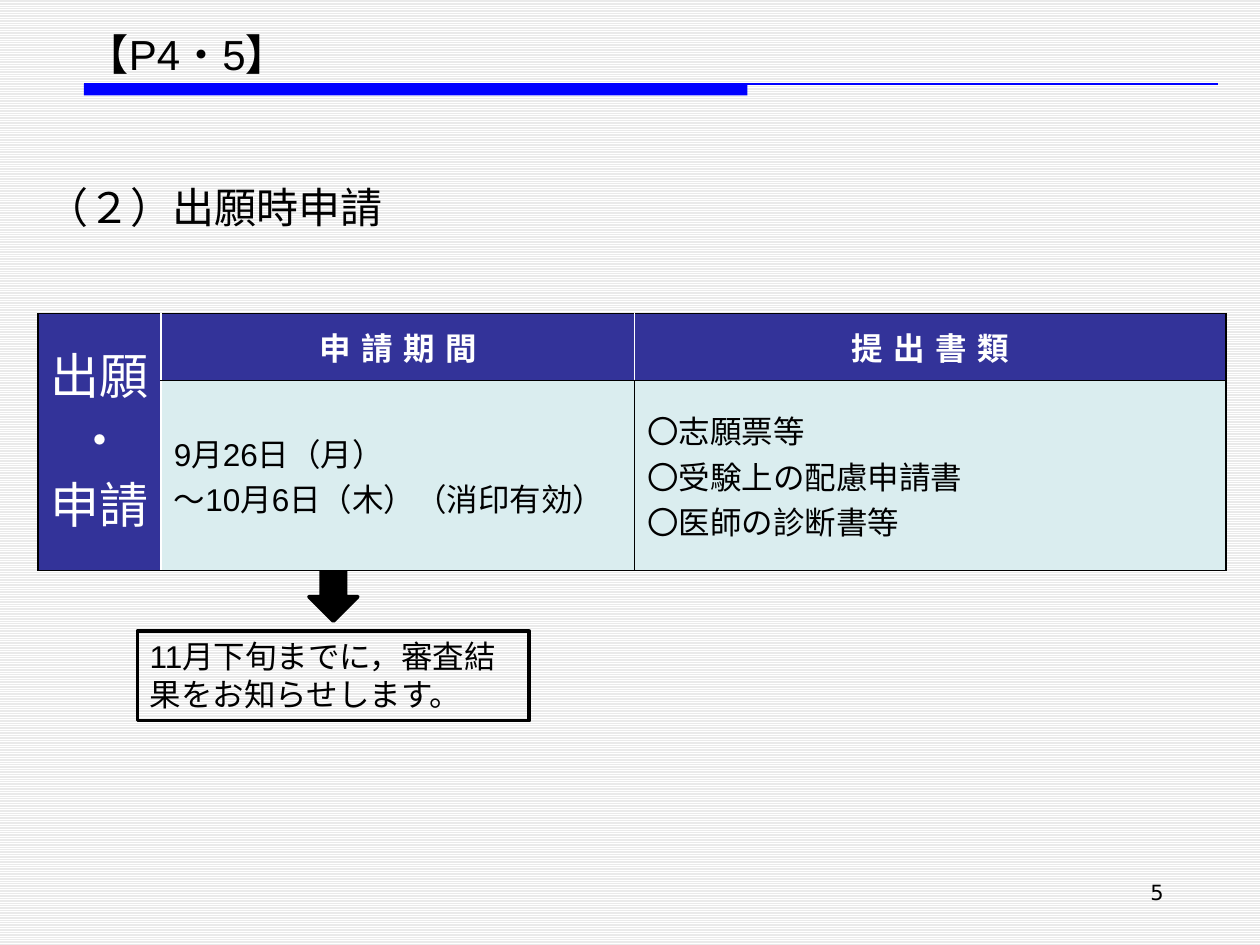
from dataclasses import dataclass

from lxml import etree
from pptx import Presentation
from pptx.dml.color import RGBColor
from pptx.enum import dml, shapes, text
from pptx.oxml.ns import qn
from pptx.util import Pt


@dataclass(frozen=True)
class Theme:
    font: str = "Arial"
    number_font: str = "DejaVu Sans"
    ink: str = "000000"
    white: str = "FFFFFF"
    stripe: str = "EAEAEA"
    rule: str = "0000FF"
    header: str = "333399"
    cell: str = "DAEDEF"
    heading_size: int = 24
    side_size: int = 28
    body_size: int = 18
    number_size: int = 12


THEME = Theme()


def rgb(value):
    return RGBColor.from_string(value)


def style_text(frame, size, color=THEME.ink, bold=False, font=THEME.font,
               align=text.PP_ALIGN.LEFT, east_asian=True):
    for para in frame.paragraphs:
        para.alignment = align
        for span in para.runs:
            span.font.name, span.font.size = font, Pt(size)
            span.font.bold, span.font.color.rgb = bold, rgb(color)
            if east_asian:
                etree.SubElement(span.font._element, qn("a:ea"), typeface=font)


def place(shape, box):
    shape.left, shape.top, shape.width, shape.height = (Pt(v) for v in box)


def paint_background(page):
    fill = page.background.fill
    fill.patterned()
    fill.pattern = dml.MSO_PATTERN.LIGHT_HORIZONTAL
    fill.fore_color.rgb, fill.back_color.rgb = rgb(THEME.white), rgb(THEME.stripe)


def add_rule(page, box):
    """Thick bar followed by a thin line along its top edge."""
    left, top, width, height = box
    bar = page.shapes.add_shape(shapes.MSO_SHAPE.RECTANGLE, Pt(left), Pt(top),
                                Pt(width * 0.585), Pt(height))
    bar.shadow.inherit = False
    bar.fill.solid()
    bar.fill.fore_color.rgb = rgb(THEME.rule)
    bar.line.fill.background()
    line = page.shapes.add_connector(shapes.MSO_CONNECTOR.STRAIGHT, Pt(left), Pt(top),
                                     Pt(left + width), Pt(top))
    line.line.color.rgb, line.line.width = rgb(THEME.rule), Pt(0.75)
    etree.SubElement(line._element.spPr, qn("a:effectLst"))


def add_title(page, box):
    title = page.shapes.title
    place(title, box)
    frame = title.text_frame
    frame.auto_size, frame.word_wrap = text.MSO_AUTO_SIZE.NONE, True
    frame.vertical_anchor = text.MSO_ANCHOR.MIDDLE
    para = frame.paragraphs[0]
    for part in ("【", "P4・5", "】"):
        para.add_run().text = part
    style_text(frame, THEME.heading_size)
    for bracket in para.runs[::2]:
        bracket.font.bold = True


def add_heading(page, box):
    body = page.placeholders[1]
    place(body, box)
    frame = body.text_frame
    frame.auto_size = text.MSO_AUTO_SIZE.NONE
    frame.text = "（２）出願時申請"
    para = frame.paragraphs[0]
    para.space_before = Pt(0)
    props = para._p.get_or_add_pPr()
    props.set("marL", "0")
    props.set("indent", "0")
    etree.SubElement(props, qn("a:buNone"))
    style_text(frame, THEME.heading_size)


def set_borders(cell, **colors):
    """Borders by side: L, R, T, B."""
    props = cell._tc.get_or_add_tcPr()
    for index, side in enumerate("LRTB"):
        line = etree.Element(qn(f"a:ln{side}"), w=str(Pt(1)))
        fill = etree.SubElement(line, qn("a:solidFill"))
        etree.SubElement(fill, qn("a:srgbClr"), val=colors.get(side, THEME.ink))
        props.insert(index, line)


def fill_cell(cell, lines, fill, size, color, east_asian=False, **borders):
    cell.fill.solid()
    cell.fill.fore_color.rgb = rgb(fill)
    cell.vertical_anchor = text.MSO_ANCHOR.MIDDLE
    cell.text_frame.text = "\n".join(lines)
    align = text.PP_ALIGN.CENTER if fill == THEME.header else text.PP_ALIGN.LEFT
    style_text(cell.text_frame, size, color, align=align, east_asian=east_asian)
    set_borders(cell, **borders)


def add_schedule(page, box):
    table = page.shapes.add_table(2, 3, *(Pt(v) for v in box)).table
    for column, width in zip(table.columns, (70.5, 270.5, 338)):
        column.width = Pt(width)
    for row, height in zip(table.rows, (38.2, 108.5)):
        row.height = Pt(height)

    # Side header over both rows, compact enough to leave the row heights alone
    side = table.cell(0, 0)
    side.merge(table.cell(1, 0))
    fill_cell(side, ("出願", "・", "申請"), THEME.header, THEME.side_size,
              THEME.white, east_asian=True, R=THEME.white)
    side.margin_top = side.margin_bottom = 0
    for para in side.text_frame.paragraphs[1:]:
        para.space_before = Pt(5.5)
    set_borders(table.cell(1, 0), R=THEME.white)

    # Column headers
    for column, (label, right) in enumerate(
            (("申請期間", THEME.white), ("提出書類", THEME.ink)), start=1):
        cell = table.cell(0, column)
        fill_cell(cell, (label,), THEME.header, THEME.body_size, THEME.white,
                  L=THEME.white, R=right)
        font = cell.text_frame.paragraphs[0].runs[0].font
        font.bold = True
        font._element.set("spc", "600")

    # Details
    fill_cell(table.cell(1, 1), ("9月26日（月）", "～10月6日（木）（消印有効）"),
              THEME.cell, THEME.body_size, THEME.ink, L=THEME.white)
    fill_cell(table.cell(1, 2), ("〇志願票等", "〇受験上の配慮申請書", "〇医師の診断書等"),
              THEME.cell, THEME.body_size, THEME.ink)


def add_outlined(page, kind, box):
    shape = page.shapes.add_shape(kind, *(Pt(v) for v in box))
    shape.shadow.inherit = False
    shape.line.color.rgb, shape.line.width = rgb(THEME.ink), Pt(2)
    return shape


def add_result_notice(page, box):
    """Arrow down to a framed notice."""
    left, top, width, height = box
    arrow = add_outlined(page, shapes.MSO_SHAPE.DOWN_ARROW,
                         (left + width / 2 - 14, top, 28, 45.4))
    arrow.fill.solid()
    arrow.fill.fore_color.rgb = rgb(THEME.ink)
    notice = add_outlined(page, shapes.MSO_SHAPE.RECTANGLE,
                          (left, top + 51.1, width, height - 51.1))
    notice.fill.background()
    frame = notice.text_frame
    frame.word_wrap, frame.vertical_anchor = True, text.MSO_ANCHOR.TOP
    frame.text = "11月下旬までに，審査結果をお知らせします。"
    style_text(frame, THEME.body_size)


def add_page_number(page, box):
    frame = page.shapes.add_textbox(*(Pt(v) for v in box)).text_frame
    frame.word_wrap = True
    frame.text = "5"
    style_text(frame, THEME.number_size, font=THEME.number_font,
               align=text.PP_ALIGN.RIGHT)


def main():
    deck = Presentation()
    deck.slide_width, deck.slide_height = Pt(720), Pt(540)
    page = deck.slides.add_slide(deck.slide_layouts[1])
    paint_background(page)
    add_rule(page, (48, 48, 648, 6.5))
    add_title(page, (42.5, 12.5, 175, 36.5))
    add_heading(page, (19.5, 100, 681, 51))
    add_result_notice(page, (78.5, 309.6, 224, 102.2))
    add_schedule(page, (21.6, 179.2, 679, 146.7))
    add_page_number(page, (516, 499, 156, 37.5))
    deck.save("out.pptx")


if __name__ == "__main__":
    main()
